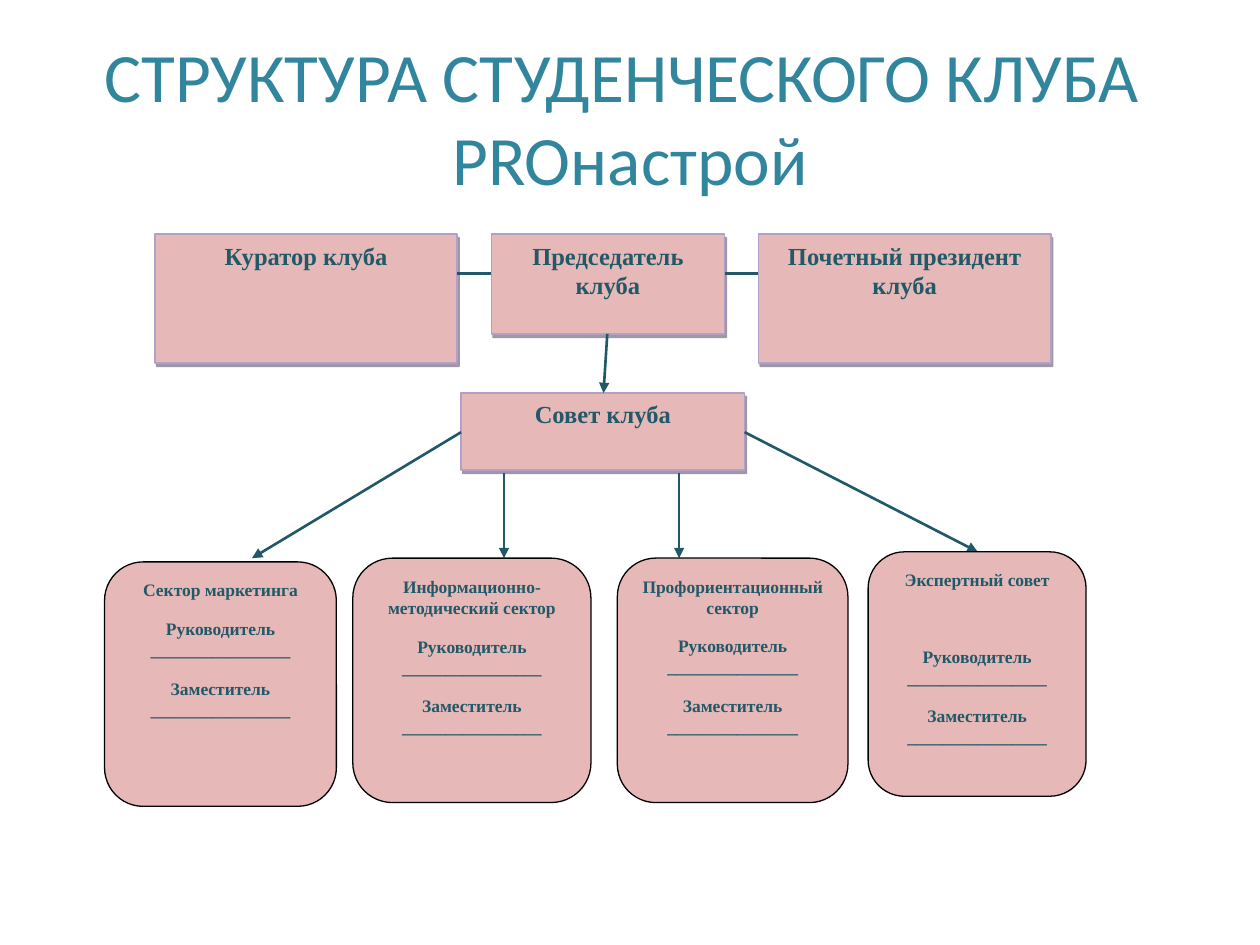
"""Build a slide with the structure chart of a student club."""
import pptx
import pptx.util
import pptx.dml.color
import pptx.enum.shapes
import pptx.enum.text
import pptx.oxml
import pptx.oxml.ns
from pptx.util import Inches

PINK, LILAC, TEAL = "E6B9B8", "B2A1C7", "215968"
SERIF = "Times New Roman"


def color(value):
    return pptx.dml.color.RGBColor.from_string(value)


def add_effects(parent, content=""):
    namespace = pptx.oxml.ns.nsdecls("a")
    parent.append(pptx.oxml.parse_xml(f"<a:effectLst {namespace}>{content}</a:effectLst>"))


def write(para, text, size, font=SERIF, ink=TEAL, bold=True, after=10):
    para.alignment = pptx.enum.text.PP_ALIGN.CENTER
    para.space_after = pptx.util.Pt(after)
    for index, line in enumerate(text.split("\n")):
        if index:
            para.add_line_break()
        span = para.add_run()
        span.text = line
        span.font.name = font
        span.font.size = pptx.util.Pt(size)
        span.font.bold = bold
        span.font.color.rgb = color(ink)


def add_title(page, text):
    box = page.shapes.add_textbox(Inches(0.5), Inches(0.3), Inches(9), Inches(1.25))
    box.text_frame.word_wrap = True
    box.text_frame.vertical_anchor = pptx.enum.text.MSO_ANCHOR.MIDDLE
    write(box.text_frame.paragraphs[0], text, 39.6, "Calibri", "31859C", False, 0)


def add_box(page, kind, place, outline, width):
    box = page.shapes.add_shape(kind, *map(Inches, place))
    box.shadow.inherit = False
    box.fill.solid()
    box.fill.fore_color.rgb = color(PINK)
    box.line.color.rgb = color(outline)
    box.line.width = pptx.util.Pt(width)
    box.text_frame.word_wrap = True
    box.text_frame.vertical_anchor = pptx.enum.text.MSO_ANCHOR.TOP
    return box


def add_post(page, text, *place):
    box = add_box(page, pptx.enum.shapes.MSO_SHAPE.RECTANGLE, place, LILAC, 1)
    properties = box.element.spPr
    properties.remove(properties.find(pptx.oxml.ns.qn("a:effectLst")))
    add_effects(properties, '<a:outerShdw dist="28000" dir="3780000" algn="ctr" rotWithShape="0">'
                '<a:srgbClr val="3F3151"><a:alpha val="50000"/></a:srgbClr></a:outerShdw>')
    write(box.text_frame.paragraphs[0], text, 14)


def add_sector(page, name, left, top, width, blanks=16, gap=10):
    place = (left, top, width, 1.94)
    box = add_box(page, pptx.enum.shapes.MSO_SHAPE.ROUNDED_RECTANGLE, place, "000000", 0.75)
    frame = box.text_frame
    write(frame.paragraphs[0], name, 10, after=gap)
    for role in ("Руководитель", "Заместитель"):
        write(frame.add_paragraph(), f"{role} {'_' * blanks}", 10)


def add_link(page, start, end, arrow=True):
    link = page.shapes.add_connector(
        pptx.enum.shapes.MSO_CONNECTOR.STRAIGHT, *map(Inches, start + end))
    link.line.color.rgb = color(TEAL)
    link.line.width = pptx.util.Pt(1.5)
    if arrow:
        namespace = pptx.oxml.ns.nsdecls("a")
        link.line._get_or_add_ln().append(
            pptx.oxml.parse_xml(f'<a:tailEnd {namespace} type="triangle"/>'))
    add_effects(link.element.spPr)


def main():
    deck = pptx.Presentation()
    deck.slide_width, deck.slide_height = Inches(10), Inches(7.5)
    page = deck.slides.add_slide(deck.slide_layouts[6])
    add_title(page, "СТРУКТУРА СТУДЕНЧЕСКОГО КЛУБА \nPROнастрой")

    add_post(page, "Совет клуба", 3.66, 3.12, 2.25, 0.61)
    add_post(page, "Председатель клуба", 3.9, 1.86, 1.85, 0.79)
    for start, end in (
        ((4.82, 2.65), (4.79, 3.12)),
        ((5.39, 3.75), (5.39, 4.43)),
        ((4, 3.75), (4, 4.43)),
        ((3.66, 3.43), (2, 4.43)),
        ((5.91, 3.43), (7.76, 4.38)),
    ):
        add_link(page, start, end)

    add_sector(page, "Экспертный совет", 6.89, 4.38, 1.73, gap=32)
    add_sector(page, "Информационно-методический сектор", 2.8, 4.43, 1.89)
    add_sector(page, "Профориентационный сектор", 4.9, 4.43, 1.83, blanks=15)
    add_sector(page, "Сектор маркетинга", 0.83, 4.46, 1.84)

    add_post(page, "Почетный президент клуба", 6.02, 1.86, 2.32, 1.02)
    add_post(page, "Куратор клуба", 1.23, 1.86, 2.4, 1.02)
    for left in (3.63, 5.75):
        add_link(page, (left, 2.17), (left + 0.27, 2.17), arrow=False)

    deck.save("out.pptx")


main()
